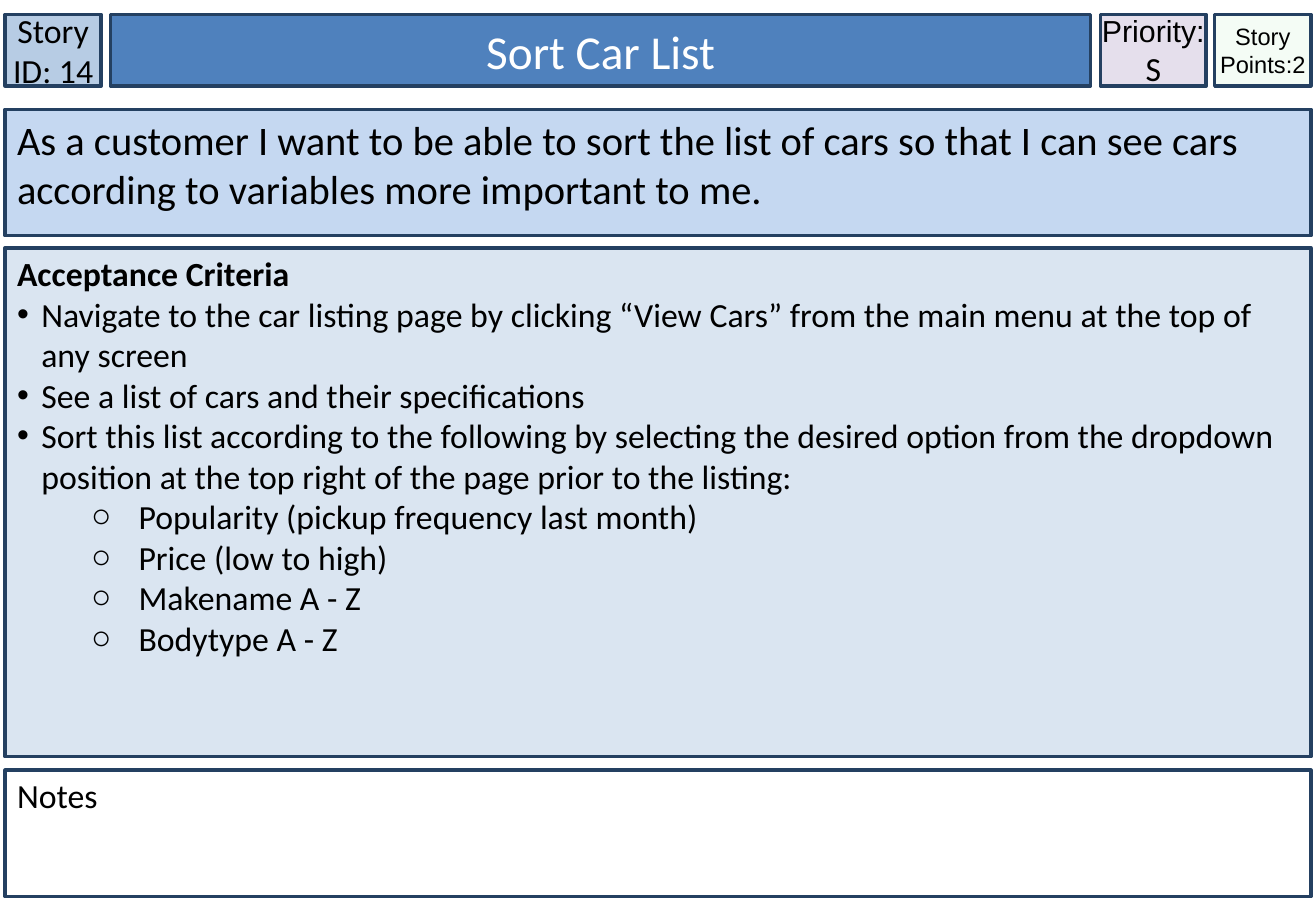
from dataclasses import dataclass

from lxml import etree
from pptx import Presentation
from pptx import util as u
from pptx.dml.color import RGBColor
from pptx.enum import shapes, text
from pptx.oxml import ns

# Colours
BLACK = RGBColor(0x00, 0x00, 0x00)
WHITE = RGBColor(0xFF, 0xFF, 0xFF)
NAVY = RGBColor(0x24, 0x40, 0x61)
BLUE = RGBColor(0x4F, 0x81, 0xBD)
STEEL = RGBColor(0xB7, 0xCC, 0xE4)
SKY = RGBColor(0xC5, 0xD8, 0xF1)
PALE = RGBColor(0xDA, 0xE5, 0xF1)
LILAC = RGBColor(0xE5, 0xDF, 0xEC)
MINT = RGBColor(0xCC, 0xF0, 0xCD)


@dataclass(frozen=True)
class Run:
    words: str
    size: float = 20
    font: str = "Calibri"
    color: RGBColor = BLACK
    bold: bool = False


@dataclass(frozen=True)
class Bullet:
    char: str
    left: float
    hang: float
    level: int


@dataclass(frozen=True)
class Para:
    runs: tuple[Run, ...]
    bullet: Bullet | None = None


@dataclass(frozen=True)
class Box:
    left: float
    top: float
    width: float
    height: float
    fill: RGBColor
    paras: tuple[Para, ...]
    center: bool = False
    side: float = 7.2
    head: float = 3.6
    alpha: int = 100


DOT = Bullet("•", 14.4, 14.4, 0)
RING = Bullet("○", 72, 28, 1)

# Layout: a header row above three full-width panels
EDGE, FULL = 3, 774
ROW, TALL = 8.5, 42.5
SMALL = 103 - 28


def line(*runs: Run) -> tuple[Para, ...]:
    return (Para(runs),)


def tag(left: float, width: float, fill: RGBColor, *runs: Run,
        side: float = 0, alpha: int = 100) -> Box:
    return Box(left, ROW, width, TALL, fill, line(*runs), True, side, alpha=alpha)


def panel(top: float, height: float, fill: RGBColor,
          paras: tuple[Para, ...], head: float = 3) -> Box:
    return Box(EDGE, top, FULL, height, fill, paras, head=head)


STEPS = (
    "Navigate to the car listing page by clicking “View Cars” from the main menu at the top of any screen",
    "See a list of cars and their specifications",
    "Sort this list according to the following by selecting the desired option from the dropdown "
    "position at the top right of the page prior to the listing:",
)
SORTS = ("Popularity (pickup frequency last month)", "Price (low to high)",
         "Makename A - Z", "Bodytype A - Z")
RULES = (line(Run("Acceptance Criteria", bold=True))
         + tuple(Para((Run(step),), DOT) for step in STEPS)
         + tuple(Para((Run(sort),), RING) for sort in SORTS))
STORY = line(Run("As a customer I want to be able to sort the list of cars so that I can see cars "
                 "according to variables more important to me.", 24))

BOXES = (
    tag(EDGE, 57, STEEL, Run("Story ID: 14")),
    tag(65.5, 581, BLUE, Run("Sort Car List", 28, color=WHITE), side=7.2),
    tag(652.3, 62.6, LILAC, Run("Priority:", 18, "Arial"), Run("S")),
    tag(720, 57, MINT, Run("Story Points:2", 14, "Arial"), alpha=20),
    panel(64.8, SMALL, SKY, STORY, head=3.6),
    panel(146.9, 301.7, PALE, RULES),
    panel(456.5, SMALL, WHITE, line(Run("Notes"))),
)


def mark(para, bullet: Bullet) -> None:
    """Give a paragraph its hanging bullet."""
    para.level = bullet.level
    props = para._p.get_or_add_pPr()
    props.set("marL", str(u.Pt(bullet.left)))
    props.set("indent", str(-u.Pt(bullet.hang)))
    tint = etree.SubElement(props, ns.qn("a:buClr"))
    etree.SubElement(tint, ns.qn("a:srgbClr"), val=str(BLACK))
    etree.SubElement(props, ns.qn("a:buFont"), typeface="Arial")
    etree.SubElement(props, ns.qn("a:buChar"), char=bullet.char)


def write(para, item: Para, center: bool) -> None:
    para.alignment = text.PP_ALIGN.CENTER if center else text.PP_ALIGN.LEFT
    if item.bullet:
        mark(para, item.bullet)
    for part in item.runs:
        run = para.add_run()
        run.text = part.words
        run.font.size = u.Pt(part.size)
        run.font.name = part.font
        run.font.bold = part.bold
        run.font.color.rgb = part.color


def draw(slide, box: Box) -> None:
    shape = slide.shapes.add_shape(
        shapes.MSO_SHAPE.RECTANGLE, u.Pt(box.left), u.Pt(box.top),
        u.Pt(box.width), u.Pt(box.height))
    shape.shadow.inherit = False
    shape.fill.solid()
    shape.fill.fore_color.rgb = box.fill
    if box.alpha < 100:
        tint = shape._element.spPr.find(ns.qn("a:solidFill"))[0]
        etree.SubElement(tint, ns.qn("a:alpha"), val=str(box.alpha * 1000))
    shape.line.color.rgb = NAVY
    shape.line.width = u.Pt(2)

    # Text
    frame = shape.text_frame
    frame.word_wrap = True
    frame.vertical_anchor = text.MSO_ANCHOR.MIDDLE if box.center else text.MSO_ANCHOR.TOP
    frame.margin_left = frame.margin_right = u.Pt(box.side)
    frame.margin_top, frame.margin_bottom = u.Pt(box.head), u.Pt(3.6)
    for spot, item in enumerate(box.paras):
        para = frame.add_paragraph() if spot else frame.paragraphs[0]
        write(para, item, box.center)


def main() -> None:
    deck = Presentation()
    deck.slide_width, deck.slide_height = u.Pt(780), u.Pt(540)
    slide = deck.slides.add_slide(deck.slide_layouts[6])
    for box in BOXES:
        draw(slide, box)
    deck.save("out.pptx")


if __name__ == "__main__":
    main()
